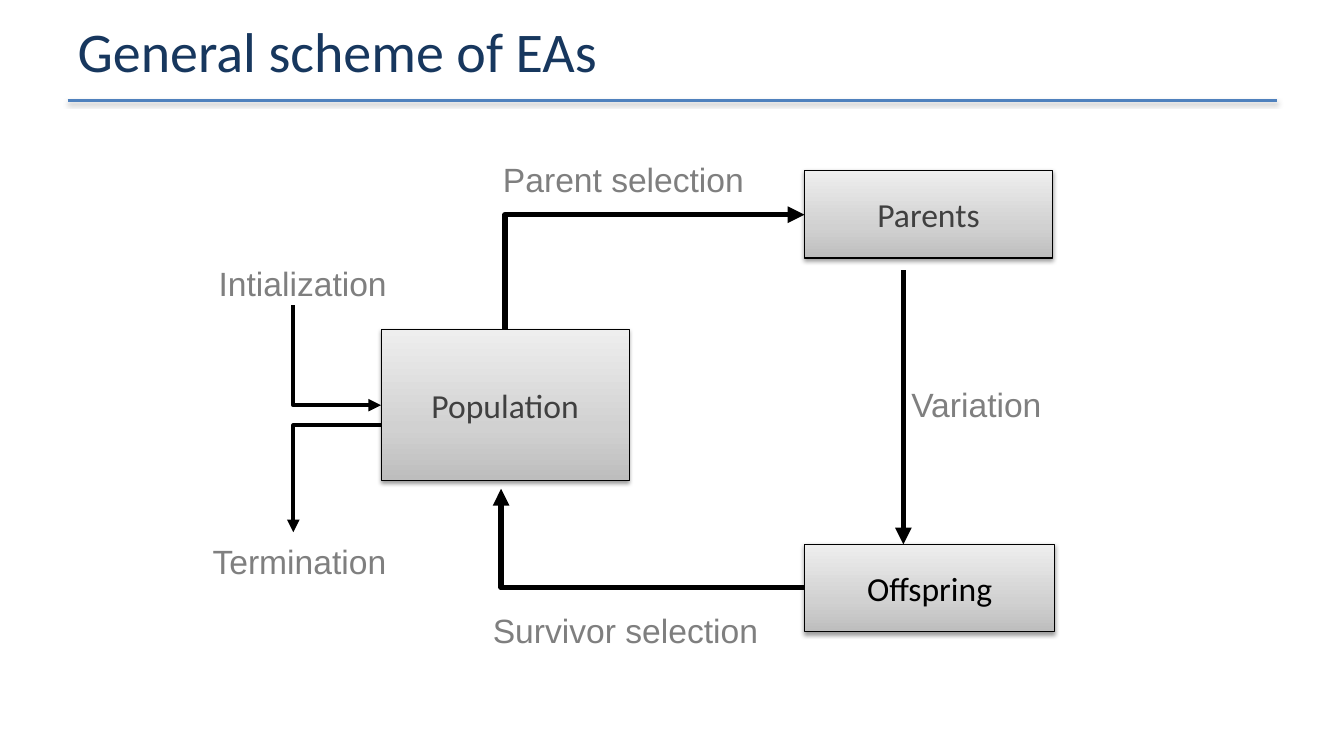
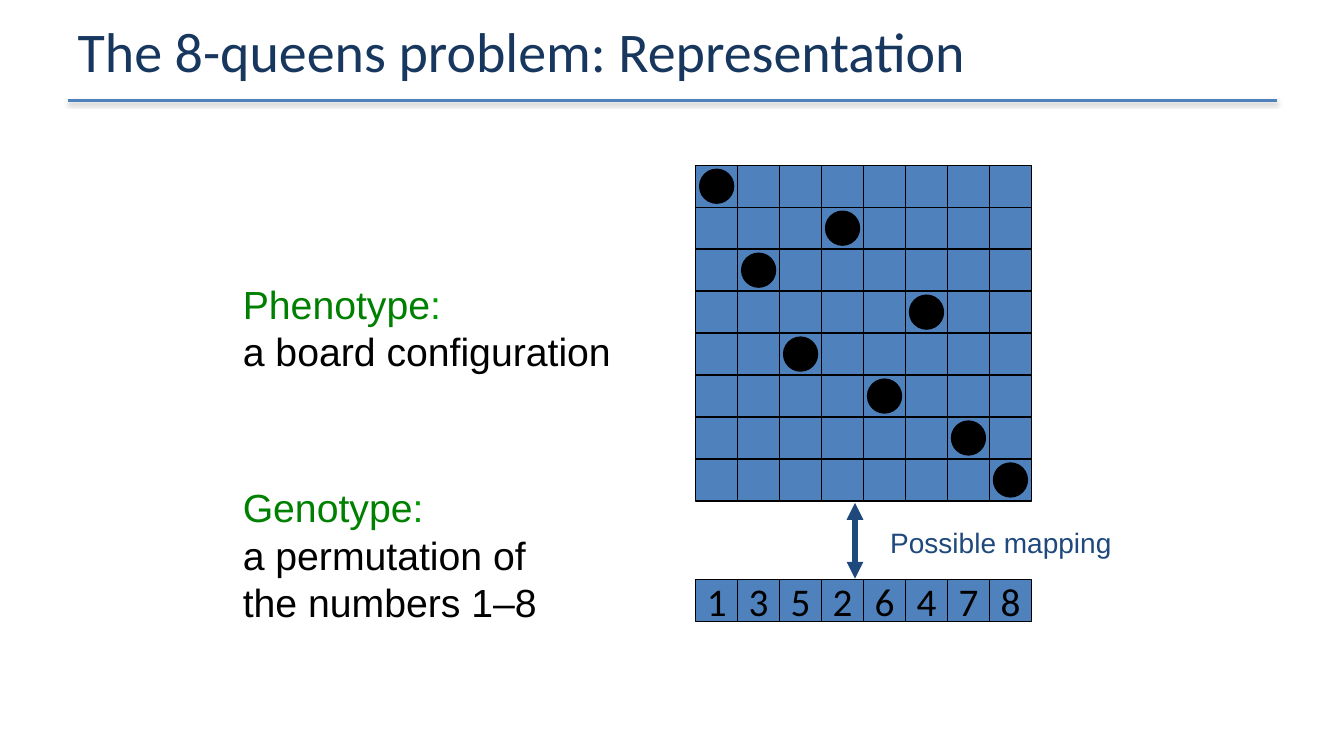
from dataclasses import dataclass

import lxml.etree
import pptx
import pptx.dml.color
import pptx.enum.shapes
import pptx.enum.text
import pptx.oxml.ns
import pptx.slide
import pptx.util
from copy import deepcopy
from pptx.util import Inches

HUES = {
    "title": "17375E",
    "blue": "4F81BD",
    "navy": "1F497D",
    "black": "000000",
    "dark": "404040",
    "gray": "7F7F7F",
    "green": "008000",
    "lime": "009900",
}
GRADE = ((0, "BDBDBD"), (0.35, "D1D1D1"), (1, "EEEEEE"))
GENES = (1, 3, 5, 2, 6, 4, 7, 8)
CELL = 3.33 / 8
LEFT = 6.9
TOP = 1.64
ROW = 5.75
GAP = 0.04

Kind = pptx.enum.shapes.MSO_SHAPE
Link = pptx.enum.shapes.MSO_CONNECTOR
Align = pptx.enum.text.PP_ALIGN
Anchor = pptx.enum.text.MSO_ANCHOR
Fit = pptx.enum.text.MSO_AUTO_SIZE
Slide = pptx.slide.Slide
qn = pptx.oxml.ns.qn


@dataclass
class Box:
    text: str
    x: float
    y: float
    w: float
    h: float
    hue: str = "dark"


@dataclass
class Label:
    text: str
    x: float
    y: float
    w: float
    h: float = 0.5
    size: int = 24
    hue: str = "gray"


@dataclass
class Wire:
    start: tuple[float, float]
    end: tuple[float, float]
    width: float = 4
    head: bool = False
    tail: bool = False
    bent: bool = False
    hue: str = "black"


@dataclass
class Note:
    term: str
    lines: tuple[str, ...]
    x: float
    y: float
    w: float
    h: float


BOXES = (
    Box("Population", 3.78, 3.27, 2.46, 1.5),
    Box("Parents", 7.98, 1.69, 2.46, 0.87),
    Box("Offspring", 7.98, 5.4, 2.48, 0.87, "black"),
)
LABELS = (
    Label("Parent selection", 4.89, 1.53, 2.62),
    Label("Survivor selection", 4.79, 6, 2.86),
    Label("Variation", 8.94, 3.76, 1.51),
    Label("Intialization", 2.07, 2.56, 1.89),
    Label("Termination", 2.01, 5.32, 1.94),
)
WIRES = (
    Wire((7.98, 2.13), (5.01, 3.27), head=True, bent=True),
    Wire((7.98, 5.83), (4.97, 4.85), tail=True, bent=True),
    Wire((8.96, 2.68), (8.96, 5.4), tail=True),
    Wire((3.78, 4.02), (2.91, 3.03), 3, head=True, bent=True),
    Wire((3.78, 4.22), (2.91, 5.28), 3, tail=True, bent=True),
)
NOTES = (
    Note("Phenotype", ("a board configuration",), 2.31, 2.73, 4.01, 1.04),
    Note("Genotype", ("a permutation of", "the numbers 1–8"), 2.31, 4.75, 3.26, 1.51),
)


def tint(name: str) -> pptx.dml.color.RGBColor:
    return pptx.dml.color.RGBColor.from_string(HUES.get(name, name))


def style(font, size: float, hue: str, face: str) -> None:
    font.size = pptx.util.Pt(size)
    font.name = face
    font.color.rgb = tint(hue)


def shade(effect) -> None:
    cast = lxml.etree.SubElement(
        effect, qn("a:outerShdw"), blurRad="40000", dist="20000",
        dir="5400000", rotWithShape="0")
    black = lxml.etree.SubElement(cast, qn("a:srgbClr"), val=HUES["black"])
    lxml.etree.SubElement(black, qn("a:alpha"), val="38000")


def draw_wire(slide: Slide, wire: Wire):
    kind = Link.ELBOW if wire.bent else Link.STRAIGHT
    line = slide.shapes.add_connector(
        kind, *(Inches(v) for v in wire.start + wire.end))
    line.line.color.rgb = tint(wire.hue)
    line.line.width = pptx.util.Pt(wire.width)
    props = line.element.spPr
    if wire.bent:
        props.find(qn("a:prstGeom")).set("prst", "bentConnector2")
    for tag, shown in (("a:headEnd", wire.head), ("a:tailEnd", wire.tail)):
        if shown:
            lxml.etree.SubElement(props.find(qn("a:ln")), qn(tag), type="triangle")
    return lxml.etree.SubElement(props, qn("a:effectLst"))


def add_slide(deck, text: str) -> Slide:
    slide = deck.slides.add_slide(deck.slide_layouts[5])
    shade(draw_wire(slide, Wire((0.67, 1), (12.67, 1), 2, hue="blue")))
    title = slide.shapes.title
    title.left, title.top = Inches(0.67), Inches(0.02)
    title.width, title.height = Inches(12), Inches(0.95)
    frame = title.text_frame
    frame.text = text
    frame.vertical_anchor = Anchor.MIDDLE
    frame.margin_top = frame.margin_bottom = 0
    para = frame.paragraphs[0]
    para.alignment = Align.LEFT
    style(para.font, 40, "title", "Calibri")
    return slide


def add_shape(slide: Slide, kind, x: float, y: float, w: float, h: float,
              fill: str, width: float = 1):
    shape = slide.shapes.add_shape(kind, Inches(x), Inches(y), Inches(w), Inches(h))
    shape.shadow.inherit = False
    shape.fill.solid()
    shape.fill.fore_color.rgb = tint(fill)
    shape.line.color.rgb = tint("black")
    shape.line.width = pptx.util.Pt(width)
    return shape


def write(shape, text: str, size: float, hue: str) -> None:
    frame = shape.text_frame
    frame.text = text
    frame.word_wrap = False
    frame.vertical_anchor = Anchor.MIDDLE
    para = frame.paragraphs[0]
    para.alignment = Align.CENTER
    style(para.font, size, hue, "Calibri")


def draw_box(slide: Slide, box: Box) -> None:
    shape = add_shape(slide, Kind.RECTANGLE, box.x, box.y, box.w, box.h, "gray", 0.75)
    shape.fill.gradient()
    shape.fill.gradient_angle = 90
    props = shape.element.spPr
    stops = props.find(qn("a:gradFill")).find(qn("a:gsLst"))
    stops.insert(1, deepcopy(stops[0]))
    for stop, (place, hue) in zip(shape.fill.gradient_stops, GRADE):
        stop.position = place
        stop.color.rgb = tint(hue)
    shade(props.find(qn("a:effectLst")))
    write(shape, box.text, 24, box.hue)


def add_text(slide: Slide, x: float, y: float, w: float, h: float):
    box = slide.shapes.add_textbox(Inches(x), Inches(y), Inches(w), Inches(h))
    frame = box.text_frame
    frame.word_wrap = False
    frame.auto_size = Fit.SHAPE_TO_FIT_TEXT
    return frame


def draw_label(slide: Slide, label: Label) -> None:
    frame = add_text(slide, label.x, label.y, label.w, label.h)
    frame.text = label.text
    style(frame.paragraphs[0].font, label.size, label.hue, "Arial")


def draw_note(slide: Slide, note: Note) -> None:
    frame = add_text(slide, note.x, note.y, note.w, note.h)
    first = frame.paragraphs[0]
    for text, hue in ((note.term, "green"), (":", "lime")):
        run = first.add_run()
        run.text = text
        style(run.font, 28, hue, "Arial")
    for text in note.lines:
        para = frame.add_paragraph()
        para.text = text
        style(para.font, 28, "black", "Arial")


def draw_cell(slide: Slide, col: int, y: float):
    return add_shape(slide, Kind.RECTANGLE, LEFT + col * CELL, y, CELL, CELL, "blue")


def draw_board(slide: Slide) -> None:
    for row in range(len(GENES)):
        for col in range(len(GENES)):
            draw_cell(slide, col, TOP + row * CELL)
    for col, gene in enumerate(GENES):
        add_shape(slide, Kind.OVAL, LEFT + col * CELL + GAP,
                  TOP + (gene - 1) * CELL + GAP,
                  CELL - 2 * GAP, CELL - 2 * GAP, "black")
        cell = draw_cell(slide, col, ROW)
        frame = cell.text_frame
        frame.margin_left = frame.margin_right = 0
        frame.margin_top = frame.margin_bottom = 0
        write(cell, str(gene), 28, "black")


def draw_scheme(deck) -> None:
    slide = add_slide(deck, "General scheme of EAs")
    for box in BOXES:
        draw_box(slide, box)
    for label in LABELS:
        draw_label(slide, label)
    for wire in WIRES:
        draw_wire(slide, wire)


def draw_queens(deck) -> None:
    slide = add_slide(deck, "The 8-queens problem: Representation")
    for note in NOTES:
        draw_note(slide, note)
    draw_board(slide)
    draw_wire(slide, Wire((8.48, 4.99), (8.48, 5.74), head=True, tail=True, hue="navy"))
    draw_label(slide, Label("Possible mapping", 8.73, 5.16, 2.42, 0.44, 20, "navy"))


def main() -> None:
    deck = pptx.Presentation()
    deck.slide_width, deck.slide_height = Inches(13.33), Inches(7.5)
    draw_scheme(deck)
    draw_queens(deck)
    deck.save("out.pptx")


if __name__ == "__main__":
    main()
